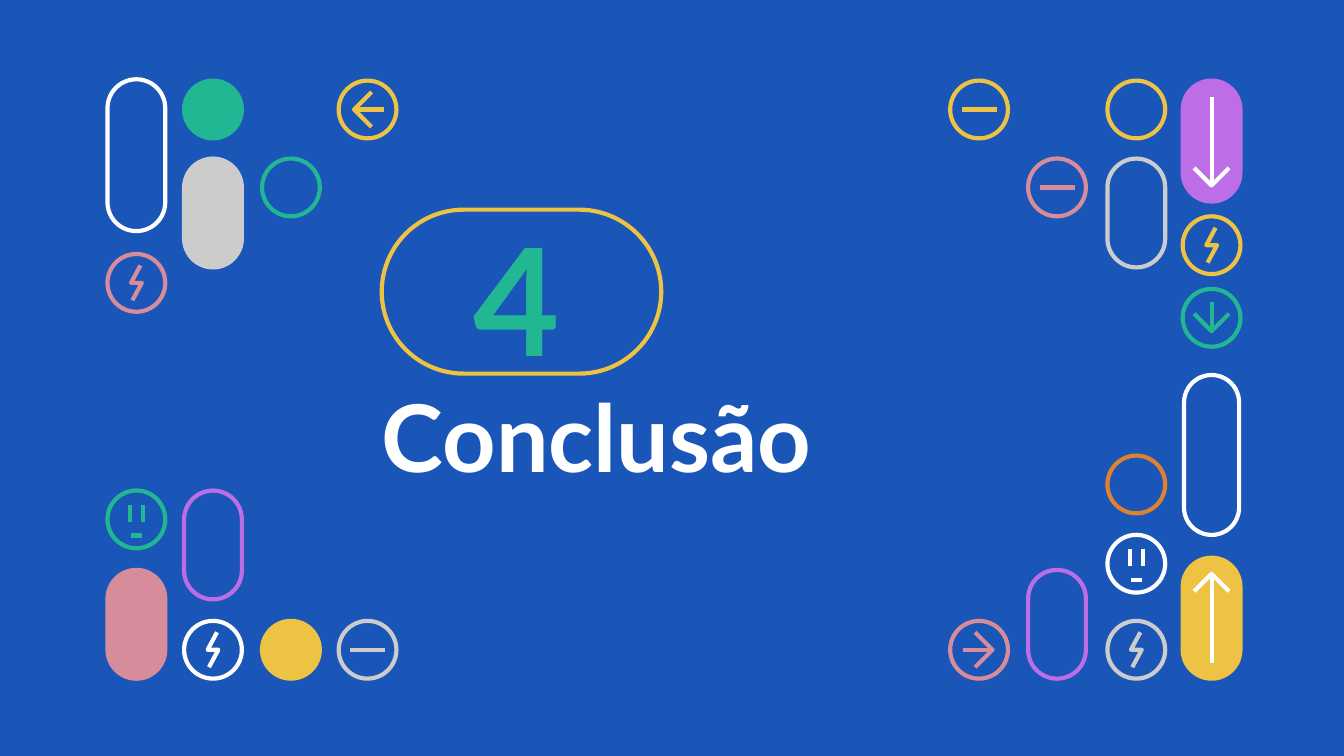
from lxml import etree
from pptx import Presentation
from pptx.dml.color import RGBColor
from pptx.enum import shapes, text
from pptx.oxml.ns import qn
from pptx.util import Inches, Pt

BLUE, WHITE, GREY, GREEN = "1A56B8", "FFFFFF", "CCCCCC", "21B793"
YELLOW, PINK, PURPLE, ORANGE = "EEC242", "D78C9B", "BD6DE6", "E08130"
SIZE = 0.43
LEFT_COLS = (0.8, 1.37, 1.95, 2.52)
RIGHT_COLS = (7.07, 7.65, 8.24, 8.8)
TOP, SECOND, BOTTOM = 0.6, 1.18, 4.62


def rgb(color):
    return RGBColor.from_string(color)


def style(sp, line, fill=None):
    sp.shadow.inherit = False
    if fill:
        sp.fill.solid()
        sp.fill.fore_color.rgb = rgb(fill)
    else:
        sp.fill.background()
    sp.line.color.rgb = rgb(line)
    sp.line.width = Pt(2.25)


def add_preset(s, kind, x, y, w, h, color, solid=False):
    sp = s.shapes.add_shape(kind, Inches(x), Inches(y), Inches(w), Inches(h))
    style(sp, color, color if solid else None)
    return sp


def add_pill(s, x, y, w, h, color, solid=False):
    sp = add_preset(s, shapes.MSO_SHAPE.ROUNDED_RECTANGLE, x, y, w, h, color, solid)
    sp.adjustments[0] = 0.5


def add_line(s, x1, y1, x2, y2, color):
    c = s.shapes.add_connector(shapes.MSO_CONNECTOR.STRAIGHT,
                               Inches(x1), Inches(y1), Inches(x2), Inches(y2))
    c.line.color.rgb = rgb(color)
    c.line.width = Pt(2.25)
    etree.SubElement(c._element.spPr, qn("a:effectLst"))


def add_polyline(s, points, color):
    start, *rest = [(Inches(x), Inches(y)) for x, y in points]
    builder = s.shapes.build_freeform(*start)
    builder.add_line_segments(rest, close=False)
    style(builder.convert_to_shape(), color)


def add_arrow(s, cx, cy, direction, color, tip=0.1, tail=0.12, wing=0.13):
    """Arrow along a unit direction; tip and tail are distances from the centre."""
    dx, dy = direction
    tx, ty = cx + dx * tip, cy + dy * tip
    bx, by = tx - dx * wing, ty - dy * wing
    add_polyline(s, [(bx - dy * wing, by + dx * wing), (tx, ty),
                     (bx + dy * wing, by - dx * wing)], color)
    add_line(s, tx, ty, cx - dx * tail, cy - dy * tail, color)


def add_left(s, cx, cy, color):
    add_arrow(s, cx, cy, (-1, 0), color)


def add_right(s, cx, cy, color):
    add_arrow(s, cx, cy, (1, 0), color)


def add_down(s, cx, cy, color):
    add_arrow(s, cx, cy, (0, 1), color)


def add_minus(s, cx, cy, color):
    add_line(s, cx - 0.13, cy, cx + 0.13, cy, color)


def add_bolt(s, cx, cy, color):
    offsets = [(0.03, -0.13), (-0.04, 0), (0.04, 0), (-0.03, 0.13)]
    add_polyline(s, [(cx + dx, cy + dy) for dx, dy in offsets], color)


def add_face(s, cx, cy, color):
    for dx in (-0.05, 0.05):
        add_line(s, cx + dx, cy + 0.02, cx + dx, cy - 0.11, color)
    add_line(s, cx - 0.04, cy + 0.12, cx + 0.04, cy + 0.12, color)


def add_circle(s, x, y, color, icon=None, solid=False):
    add_preset(s, shapes.MSO_SHAPE.OVAL, x, y, SIZE, SIZE, color, solid)
    if icon:
        icon(s, x + SIZE / 2, y + SIZE / 2, color)


def add_arrow_pill(s, x, y, direction, color):
    height = 0.9
    add_pill(s, x, y, SIZE, height, color, True)
    add_arrow(s, x + SIZE / 2, y + height / 2, direction, WHITE, 0.33, 0.33)


def add_heading(s, x, y, w, h, words, size, color):
    tf = s.shapes.add_textbox(Inches(x), Inches(y), Inches(w), Inches(h)).text_frame
    tf.word_wrap = True
    tf.vertical_anchor = text.MSO_ANCHOR.MIDDLE
    tf.margin_left = tf.margin_right = tf.margin_top = tf.margin_bottom = 0
    r = tf.paragraphs[0].add_run()
    r.text = words
    r.font.name = "Lato"
    r.font.size = Pt(size)
    r.font.bold = True
    r.font.color.rgb = rgb(color)


def add_left_ornaments(s):
    a, b, c, d = LEFT_COLS
    add_pill(s, a, 0.59, SIZE, 1.13, WHITE)
    add_pill(s, b, SECOND, SIZE, 0.81, GREY, True)
    add_pill(s, b, 3.65, SIZE, 0.81, PURPLE)
    add_pill(s, a, 4.24, SIZE, 0.81, PINK, True)
    add_circle(s, b, TOP, GREEN, solid=True)
    add_circle(s, d, TOP, YELLOW, add_left)
    add_circle(s, c, SECOND, GREEN)
    add_circle(s, a, 1.89, PINK, add_bolt)
    add_circle(s, a, 3.65, GREEN, add_face)
    add_circle(s, b, BOTTOM, WHITE, add_bolt)
    add_circle(s, c, BOTTOM, YELLOW, solid=True)
    add_circle(s, d, BOTTOM, GREY, add_minus)


def add_right_ornaments(s):
    a, b, c, d = RIGHT_COLS
    add_pill(s, c, SECOND, SIZE, 0.81, GREY)
    add_pill(s, d + 0.01, 2.79, 0.41, 1.19, WHITE)
    add_pill(s, b, 4.24, SIZE, 0.81, PURPLE)
    add_arrow_pill(s, d, TOP, (0, 1), PURPLE)
    add_arrow_pill(s, d, 4.15, (0, -1), YELLOW)
    add_circle(s, a, TOP, YELLOW, add_minus)
    add_circle(s, c, TOP, YELLOW)
    add_circle(s, b, SECOND, PINK, add_minus)
    add_circle(s, d, 1.61, YELLOW, add_bolt)
    add_circle(s, d, 2.15, GREEN, add_down)
    add_circle(s, c, 3.39, ORANGE)
    add_circle(s, c, 3.98, WHITE, add_face)
    add_circle(s, a, BOTTOM, PINK, add_right)
    add_circle(s, c, BOTTOM, GREY, add_bolt)


def main():
    prs = Presentation()
    prs.slide_width, prs.slide_height = Inches(10), Inches(10 * 9 / 16)
    s = prs.slides.add_slide(prs.slide_layouts[6])
    s.background.fill.solid()
    s.background.fill.fore_color.rgb = rgb(BLUE)
    add_left_ornaments(s)
    add_right_ornaments(s)
    add_pill(s, 2.84, 1.56, 2.08, 1.22, YELLOW)
    add_heading(s, 2.84, 2.78, 5.4, 0.92, "Conclusão", 50, WHITE)
    add_heading(s, 3.52, 1.67, 1.25, 1.08, "4", 80, GREEN)
    prs.save("out.pptx")


if __name__ == "__main__":
    main()
